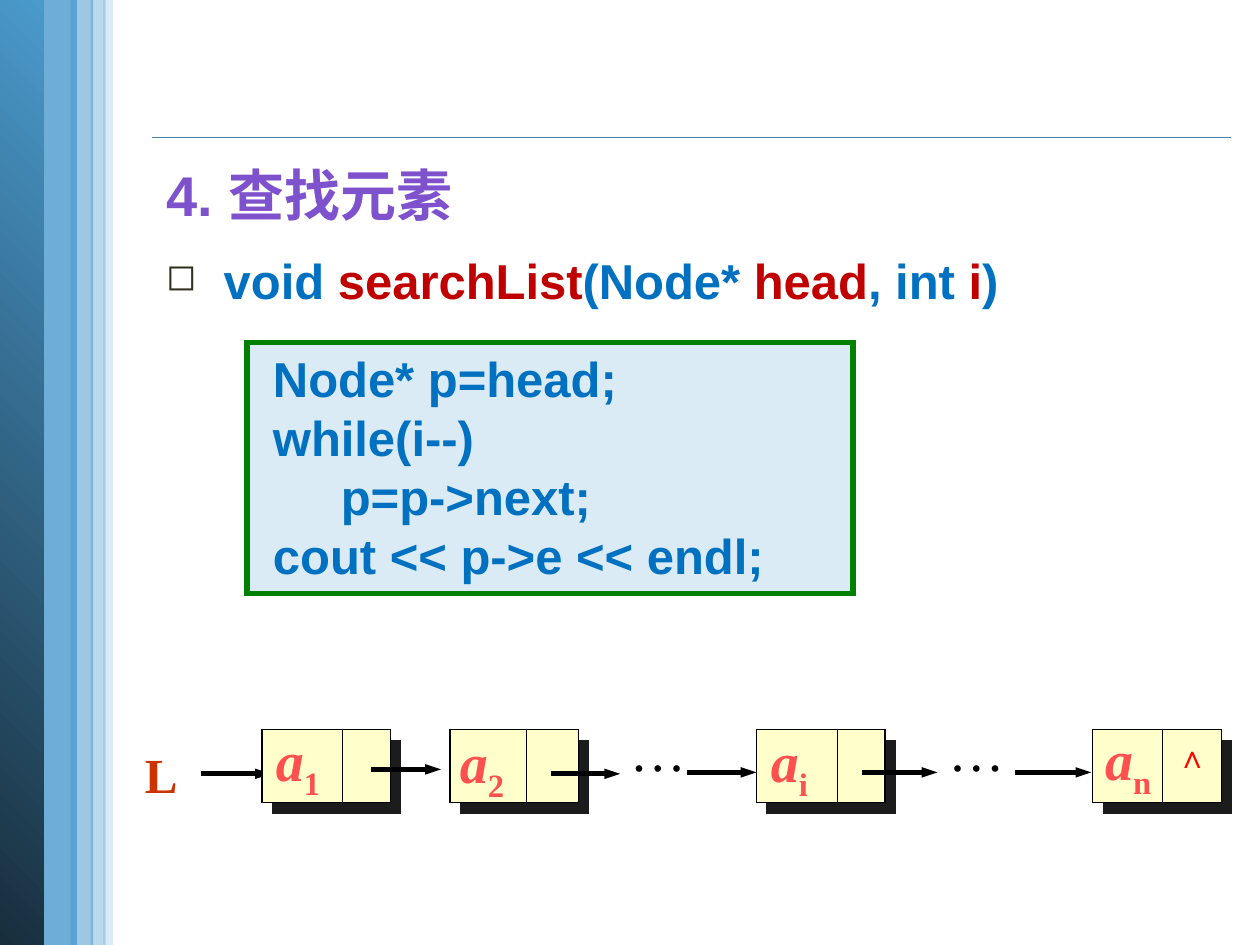
from lxml import etree
from pptx import Presentation
from pptx.dml.color import RGBColor
from pptx.enum.shapes import MSO_CONNECTOR, MSO_SHAPE
from pptx.enum.text import MSO_ANCHOR, MSO_AUTO_SIZE, PP_ALIGN
from pptx.oxml.ns import qn
from pptx.util import Cm, Pt

RECTANGLE = MSO_SHAPE.RECTANGLE
STRAIGHT = MSO_CONNECTOR.STRAIGHT
TOP = MSO_ANCHOR.TOP
LEFT = PP_ALIGN.LEFT
GROW = MSO_AUTO_SIZE.SHAPE_TO_FIT_TEXT

THEME = {
    "sans": "Arial", "serif": "Times New Roman",
    "title_size": 32, "code_size": 28, "mark_size": 18,
    "band": "4A9ACC", "band_dark": "182E3D", "rule": "4582A7",
    "title": "7E52CC", "code": "0070C0", "name": "C00000", "bullet": "30311D",
    "panel": "DBEBF5", "panel_line": "008000",
    "node": "FFFFCC", "shadow": "1C1C1C", "ink": "000000",
    "label": "FF5050", "null": "FF0000", "head": "CC3300",
}

SLIDE_SIZE = (25.4, 19.05)
BANDS = [
    (0.76, 0.79, 80),
    (0, 0.88, None),
    (2.08, 0.2, 20),
    (1.42, 0.46, 54),
    (1.83, 0.3, 37),
]
TITLE = "4. 查找元素"
SIGNATURE = [
    ("void ", "code"), ("searchList", "name"), ("(Node* ", "code"),
    ("head", "name"), (", int ", "code"), ("i", "name"), (")", "code"),
]
CODE = [
    " Node* p=head;",
    " while(i--)",
    "      p=p->next;",
    " cout << p->e << endl;",
]
NODE_TOP, NODE_WIDTH, NODE_HEIGHT = 14.71, 2.59, 1.47
NODES = [
    ("1", 5.28, 1.63, 5.31, 14.5, 1.45),
    ("2", 9.07, 1.55, 9.02, 14.55, 1.45),
    ("i", 15.25, 1.63, 15.29, 14.53, 1.3),
    ("n", 22.03, 1.4, 22.03, 14.48, 1.5),
]
HEAD_ARROW = (4.06, 5.46, 15.6)
ARROWS = [
    (7.47, 8.89, 15.51),
    (11.1, 12.5, 15.6),
    (13.84, 15.25, 15.57),
    (17.37, 18.9, 15.57),
    (20.47, 22.0, 15.57),
]
ELLIPSIS_LEFTS = [12.45, 18.87]


def rgb(key):
    return RGBColor.from_string(THEME[key])


def add_child(parent, tag, **attributes):
    child = etree.SubElement(parent, qn(tag))
    for name, value in attributes.items():
        child.set(name, str(value))
    return child


def add_box(page, left, top, width, height, fill, line=None, weight=0.75):
    box = page.shapes.add_shape(RECTANGLE, Cm(left), Cm(top), Cm(width), Cm(height))
    box.shadow.inherit = False
    box.fill.solid()
    box.fill.fore_color.rgb = rgb(fill)
    if line:
        box.line.color.rgb = rgb(line)
        box.line.width = Pt(weight)
        add_child(box.line._get_or_add_ln(), "a:miter", lim=800000)
    else:
        box.line.fill.background()
    return box


def add_line(page, start, end, color="ink", weight=0.75, arrow=False):
    line = page.shapes.add_connector(STRAIGHT, *(Cm(v) for v in (*start, *end)))
    line.line.color.rgb = rgb(color)
    line.line.width = Pt(weight)
    if arrow:
        add_child(line.line._get_or_add_ln(), "a:tailEnd", type="triangle", w="sm", len="med")
    add_child(line._element.spPr, "a:effectLst")
    return line


def add_arrow(page, left, right, level):
    return add_line(page, (left, level), (right, level), weight=3, arrow=True)


def add_span(para, text, color="code", size="code_size", font="sans",
             bold=True, italic=False, baseline=None):
    span = para.add_run()
    span.text = text
    span.font.name = THEME[font]
    span.font.size = Pt(THEME[size])
    span.font.color.rgb = rgb(color)
    span.font.bold = bold
    span.font.italic = italic
    if baseline:
        span.font._element.set("baseline", str(baseline))
    return span


def add_text_box(page, left, top, width, height, wrap=True):
    box = page.shapes.add_textbox(Cm(left), Cm(top), Cm(width), Cm(height))
    box.text_frame.word_wrap = wrap
    box.text_frame.auto_size = GROW
    return box.text_frame.paragraphs[0]


def draw_bands(page):
    add_line(page, (3.06, 2.77), (24.82, 2.77), "rule", 1)
    for left, width, opacity in BANDS:
        band = add_box(page, left, 0, width, SLIDE_SIZE[1], "band")
        if opacity is None:
            band.fill.gradient()
            band.fill.gradient_angle = 45
            for stop, color in zip(band.fill.gradient_stops, ("band_dark", "band")):
                stop.color.rgb = rgb(color)
        else:
            color = band._element.spPr.find(".//" + qn("a:srgbClr"))
            add_child(color, "a:alpha", val=opacity * 1000)


def draw_code(page):
    add_span(add_text_box(page, 3.1, 3.12, 16.76, 1.57), TITLE, color="title", size="title_size")

    para = add_text_box(page, 3.1, 4.8, 21.23, 1.47)
    para.line_spacing = 1.1
    properties = para._p.get_or_add_pPr()
    properties.set("marL", str(Cm(1.16)))
    properties.set("indent", str(-Cm(1.16)))
    add_child(add_child(properties, "a:buClr"), "a:srgbClr", val=THEME["bullet"])
    add_child(properties, "a:buSzPct", val=75000)
    add_child(properties, "a:buChar", char="◻")
    for text, color in SIGNATURE:
        add_span(para, text, color=color)

    panel = add_box(page, 4.98, 6.91, 12.22, 5.05, "panel", "panel_line", 3)
    frame = panel.text_frame
    frame.word_wrap = True
    frame.vertical_anchor = TOP
    for index, text in enumerate(CODE):
        para = frame.add_paragraph() if index else frame.paragraphs[0]
        para.alignment = LEFT
        add_span(para, text)


def draw_node(page, index, left, divider, label_left, label_top, label_width):
    node = add_box(page, left, NODE_TOP, NODE_WIDTH, NODE_HEIGHT, "node", "ink")
    effects = node._element.spPr.find(qn("a:effectLst"))
    shadow = add_child(effects, "a:outerShdw", blurRad=0, dist=Pt(8.5), dir=45 * 60000,
                       algn="ctr", rotWithShape=0)
    add_child(shadow, "a:srgbClr", val=THEME["shadow"])
    middle = left + divider
    add_line(page, (middle, NODE_TOP), (middle, NODE_TOP + NODE_HEIGHT))
    para = add_text_box(page, label_left, label_top, label_width, 1.6, wrap=False)
    style = {"color": "label", "size": "title_size", "font": "serif"}
    add_span(para, "a", italic=True, **style)
    add_span(para, index, baseline=-25000, **style)


def draw_list(page):
    add_arrow(page, *HEAD_ARROW)
    for node in NODES:
        draw_node(page, *node)
    for arrow in ARROWS:
        add_arrow(page, *arrow)
    for left in ELLIPSIS_LEFTS:
        add_span(add_text_box(page, left, 14.3, 1.4, 1.6), "…",
                 color="ink", size="title_size", font="serif", bold=False)
    add_span(add_text_box(page, 23.47, 14.73, 1.14, 1.27), "∧",
             color="null", size="mark_size", font="serif")
    add_span(add_text_box(page, 2.67, 14.88, 1.17, 1.45, wrap=False), "L",
             color="head", font="serif")


def main():
    deck = Presentation()
    deck.slide_width, deck.slide_height = (Cm(length) for length in SLIDE_SIZE)
    page = deck.slides.add_slide(deck.slide_layouts[6])
    draw_bands(page)
    draw_code(page)
    draw_list(page)
    deck.save("out.pptx")


if __name__ == "__main__":
    main()
